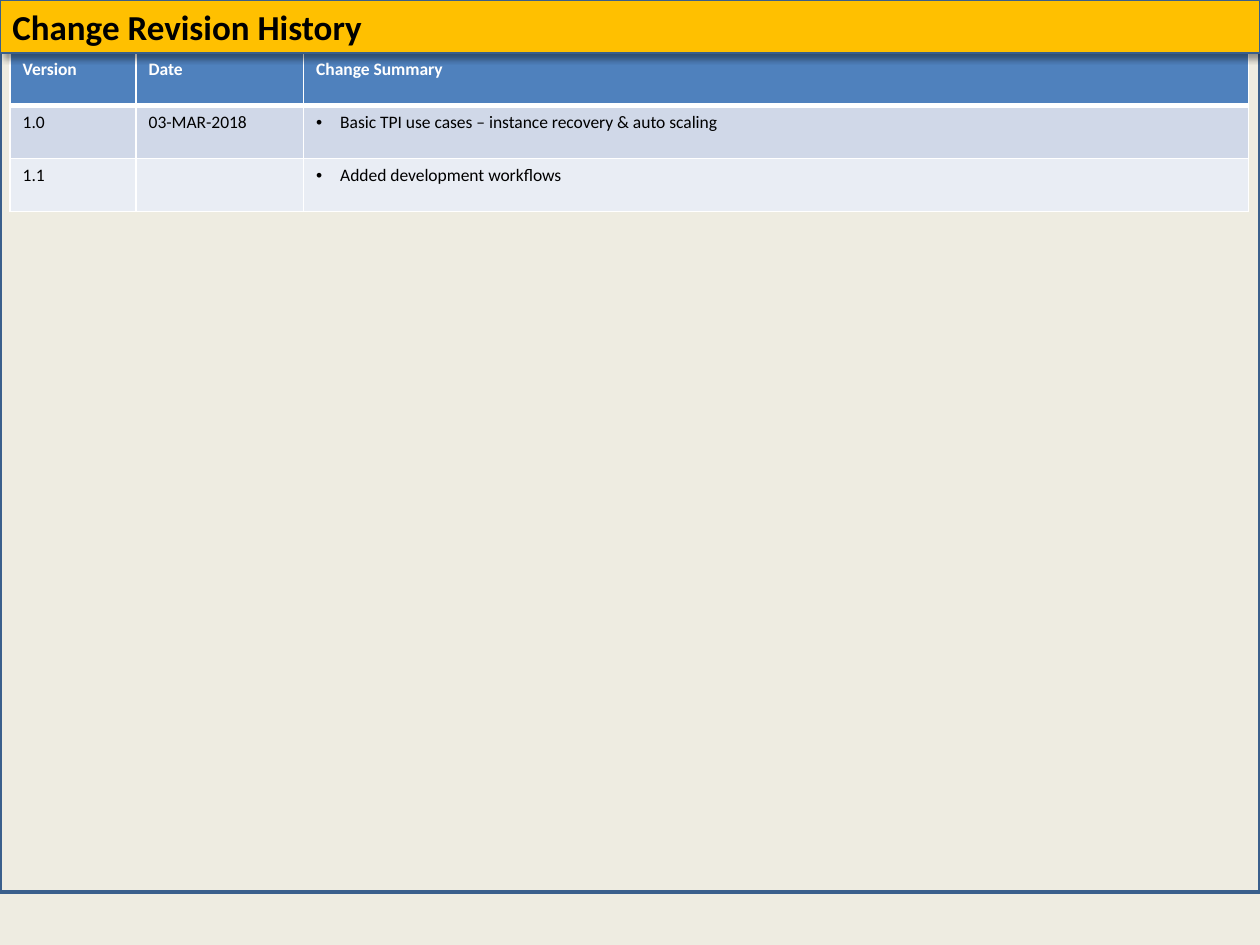
import pptx
import pptx.util
import pptx.dml.color
import pptx.enum.shapes
import pptx.enum.text
import pptx.oxml.ns
import lxml.etree

Inches = pptx.util.Inches
Pt = pptx.util.Pt
qn = pptx.oxml.ns.qn

COLORS = {
    "page": "EEECE1",
    "outline": "3A5F8C",
    "banner": "FFC000",
    "header": "4F81BD",
    "odd_row": "D0D8E8",
    "even_row": "E9EDF4",
    "white": "FFFFFF",
    "black": "000000",
}
COLUMN_WIDTHS = [1, 1.33, 7.5]
ROW_HEIGHT = 0.42
HISTORY = [
    ["Version", "Date", "Change Summary"],
    ["1.0", "03-MAR-2018", "Basic TPI use cases – instance recovery & auto scaling"],
    ["1.1", "", "Added development workflows"],
]


class SlideBuilder:
    font = "Calibri"

    def __init__(self, page):
        self.page = page

    def color(self, name):
        return pptx.dml.color.RGBColor.from_string(COLORS[name])

    def background(self, name):
        fill = self.page.background.fill
        fill.solid()
        fill.fore_color.rgb = self.color(name)

    def format_text(self, para, size, color, bold):
        for span in para.runs:
            span.font.name = self.font
            span.font.size = Pt(size)
            span.font.bold = bold
            span.font.color.rgb = self.color(color)

    def rectangle(self, left, top, width, height, fill, line_width):
        box = self.page.shapes.add_shape(
            pptx.enum.shapes.MSO_SHAPE.RECTANGLE,
            Inches(left), Inches(top), Inches(width), Inches(height))
        box.shadow.inherit = False
        box.fill.solid()
        box.fill.fore_color.rgb = self.color(fill)
        box.line.color.rgb = self.color("outline")
        box.line.width = Pt(line_width)
        return box

    def drop_shadow(self, box, opacity, blur, distance, angle):
        effects = box._element.spPr.find(qn("a:effectLst"))
        shadow = lxml.etree.SubElement(
            effects, qn("a:outerShdw"), blurRad=str(Pt(blur)), dist=str(Pt(distance)),
            dir=str(angle * 60000), algn="tl", rotWithShape="0")
        color = lxml.etree.SubElement(shadow, qn("a:srgbClr"), val=COLORS["black"])
        lxml.etree.SubElement(color, qn("a:alpha"), val=str(opacity * 1000))

    def banner(self, text):
        box = self.rectangle(0, 0, 10, ROW_HEIGHT, "banner", 0.75)
        self.drop_shadow(box, 40, 4, 3, 45)
        frame = box.text_frame
        frame.text = text
        frame.vertical_anchor = pptx.enum.text.MSO_ANCHOR.MIDDLE
        para = frame.paragraphs[0]
        para.alignment = pptx.enum.text.PP_ALIGN.LEFT
        self.format_text(para, 20, "black", True)

    def bullet(self, para):
        props = para._p.get_or_add_pPr()
        props.set("marL", str(Inches(0.19)))
        props.set("indent", str(-Inches(0.19)))
        lxml.etree.SubElement(props, qn("a:buFont"), typeface="Arial")
        lxml.etree.SubElement(props, qn("a:buChar"), char="•")

    def cell_borders(self, cell, bottom, top):
        props = cell._tc.get_or_add_tcPr()
        widths = {"a:lnL": 1, "a:lnR": 1, "a:lnT": top, "a:lnB": bottom}
        for position, (tag, width) in enumerate(widths.items()):
            line = lxml.etree.Element(qn(tag), w=str(Pt(width)))
            fill = lxml.etree.SubElement(line, qn("a:solidFill"))
            lxml.etree.SubElement(fill, qn("a:srgbClr"), val=COLORS["white"])
            props.insert(position, line)

    def table(self, left, top, widths, row_height, rows):
        table = self.page.shapes.add_table(
            len(rows), len(widths), Inches(left), Inches(top),
            Inches(sum(widths)), Inches(row_height * len(rows))).table
        for column, width in zip(table.columns, widths):
            column.width = Inches(width)
        fills = ["header", "odd_row", "even_row"]
        for row_index, values in enumerate(rows):
            table.rows[row_index].height = Inches(row_height)
            is_header = row_index == 0
            for column_index, value in enumerate(values):
                cell = table.cell(row_index, column_index)
                cell.text_frame.text = value
                cell.fill.solid()
                cell.fill.fore_color.rgb = self.color(fills[row_index])
                para = cell.text_frame.paragraphs[0]
                self.format_text(para, 10, "white" if is_header else "black", is_header)
                if not is_header and column_index == len(widths) - 1:
                    self.bullet(para)
                self.cell_borders(cell, 3 if is_header else 1, 3 if row_index == 1 else 1)


def main():
    deck = pptx.Presentation()
    deck.slide_width = Inches(10)
    deck.slide_height = Inches(7.5)
    builder = SlideBuilder(deck.slides.add_slide(deck.slide_layouts[6]))
    builder.background("page")
    builder.rectangle(0, -0.42, 10, 7.5, "page", 2)
    builder.table(0.08, 0.42, COLUMN_WIDTHS, ROW_HEIGHT, HISTORY)
    builder.banner("Change Revision History")
    deck.save("out.pptx")


if __name__ == "__main__":
    main()
